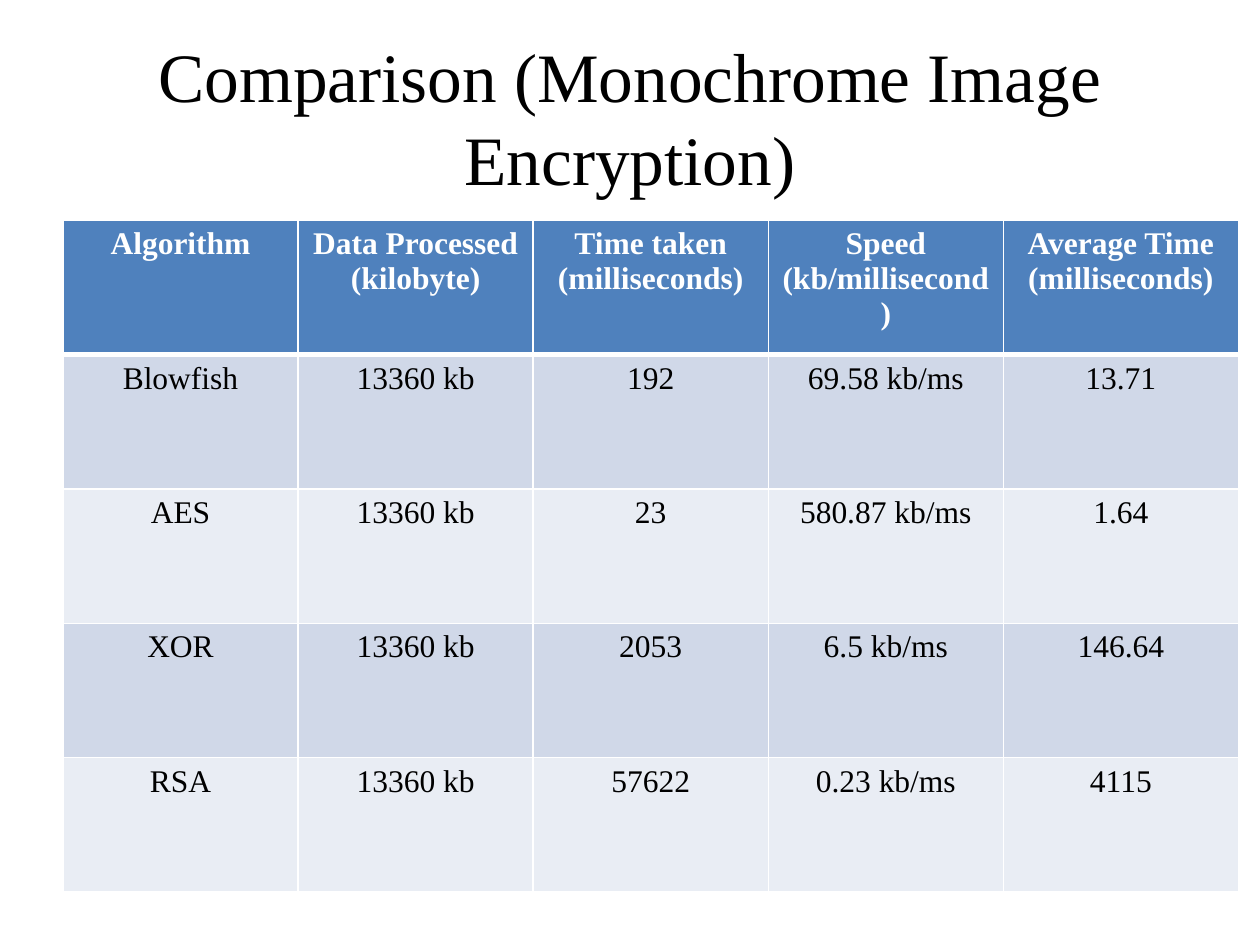
import pptx
import pptx.dml.color
import pptx.enum.text
import pptx.oxml
import pptx.oxml.ns
import pptx.util

Inches = pptx.util.Inches
FONT = "Times New Roman"
ROWS = [
    ["Algorithm", "Data Processed (kilobyte)", "Time taken (milliseconds)",
     "Speed (kb/millisecond)", "Average Time (milliseconds)"],
    ["Blowfish", "13360 kb", "192", "69.58 kb/ms", "13.71"],
    ["AES", "13360 kb", "23", "580.87 kb/ms", "1.64"],
    ["XOR", "13360 kb", "2053", "6.5 kb/ms", "146.64"],
    ["RSA", "13360 kb", "57622", "0.23 kb/ms", "4115"],
]


def rgb(value):
    """Return the colour for a hex string."""
    return pptx.dml.color.RGBColor.from_string(value)


def write(tf, text, size, color, bold=False):
    """Put one centred line of formatted text in a text frame."""
    tf.word_wrap = True
    p = tf.paragraphs[0]
    p.alignment = pptx.enum.text.PP_ALIGN.CENTER
    r = p.add_run()
    r.text = text
    values = {"name": FONT, "size": pptx.util.Pt(size), "bold": bold}
    for name, value in values.items():
        setattr(r.font, name, value)
    r.font.color.rgb = rgb(color)


def border(cell, widths, color):
    """Draw the four cell borders in the given point widths."""
    pr = cell._tc.get_or_add_tcPr()
    ns = pptx.oxml.ns.nsdecls("a")
    for i, (side, width) in enumerate(widths.items()):
        pr.insert(i, pptx.oxml.parse_xml(
            f'<a:ln{side} {ns} w="{pptx.util.Pt(width)}"><a:solidFill>'
            f'<a:srgbClr val="{color}"/></a:solidFill></a:ln{side}>'))


def add_title(s, text, x, y, w, h):
    """Add the slide title in the given box."""
    tf = s.shapes.add_textbox(Inches(x), Inches(y), Inches(w), Inches(h)).text_frame
    tf.vertical_anchor = pptx.enum.text.MSO_ANCHOR.MIDDLE
    write(tf, text, 39.6, "000000")


def add_comparison(s, rows, x, y, w, h):
    """Add the banded table with even rows and columns in the given box."""
    table = s.shapes.add_table(len(rows), len(rows[0]), Inches(x), Inches(y),
                               Inches(w), Inches(h)).table
    for i, row in enumerate(rows):
        header = i == 0
        fill = "4F81BD" if header else ("E9EDF4", "D0D8E8")[i % 2]
        widths = {"L": 1, "R": 1, "T": 3 if i == 1 else 1, "B": 3 if header else 1}
        for j, text in enumerate(row):
            cell = table.cell(i, j)
            cell.fill.solid()
            cell.fill.fore_color.rgb = rgb(fill)
            border(cell, widths, "FFFFFF")
            write(cell.text_frame, text, 18, "FFFFFF" if header else "000000", header)


prs = pptx.Presentation()
prs.slide_width, prs.slide_height = Inches(10), Inches(7.5)
s = prs.slides.add_slide(prs.slide_layouts[6])
add_title(s, "Comparison (Monochrome Image Encryption)", 0.5, 0.3, 9, 1.25)
add_comparison(s, ROWS, 0.5, 1.75, 9.33, 5.33)
prs.save("out.pptx")
